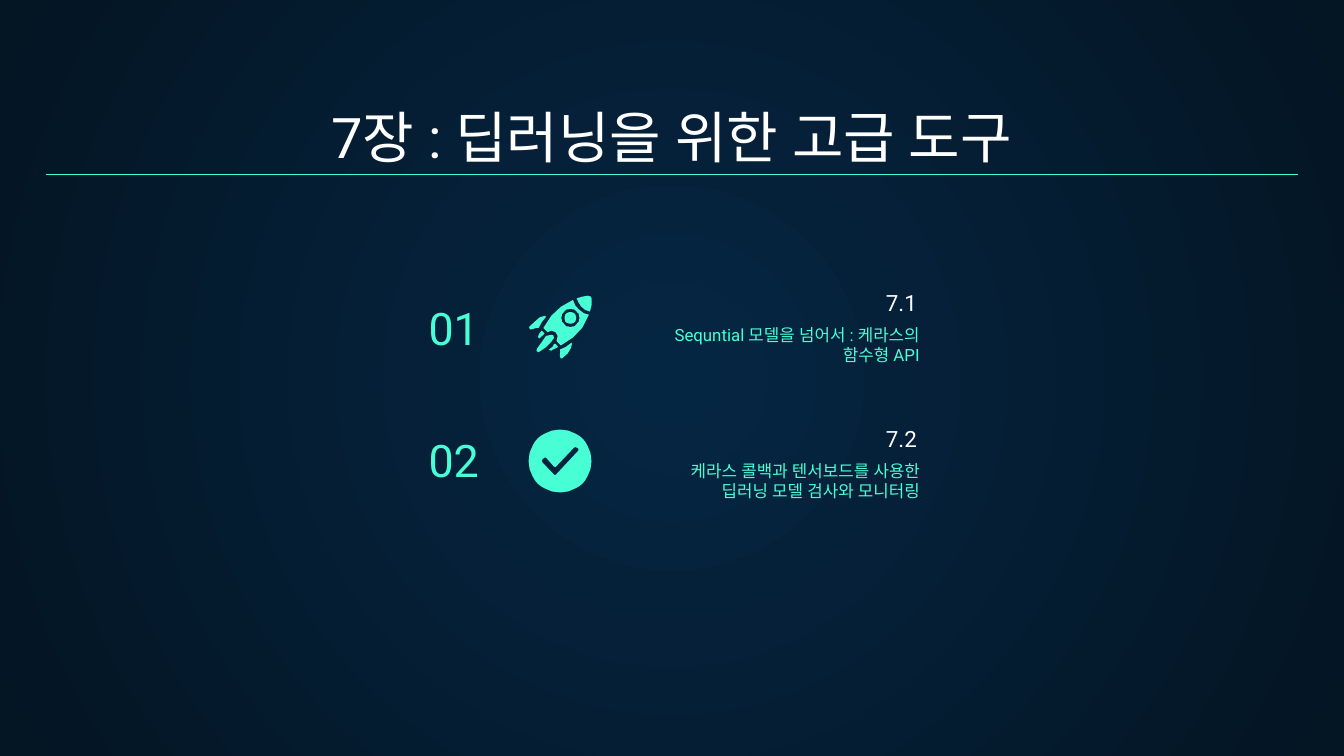
from math import cos, pi, sin

from lxml.etree import SubElement
from pptx import Presentation
from pptx.dml.color import RGBColor
from pptx.enum.shapes import MSO_CONNECTOR
from pptx.enum.text import MSO_ANCHOR, MSO_AUTO_SIZE, PP_ALIGN
from pptx.oxml.ns import qn
from pptx.util import Cm, Pt

MINT, WHITE = "48FFD5", "FFFFFF"
FONT = "Roboto"


def write_text(box, text, size, color, align, anchor=MSO_ANCHOR.BOTTOM):
    frame = box.text_frame
    frame.text = text
    frame.word_wrap = True
    frame.auto_size = MSO_AUTO_SIZE.NONE
    frame.vertical_anchor = anchor
    frame.margin_left = frame.margin_right = Cm(0.25)
    frame.margin_top = frame.margin_bottom = Cm(0.25)
    paragraph = frame.paragraphs[0]
    paragraph.alignment = align
    font = paragraph.runs[0].font
    font.name, font.size = FONT, Pt(size)
    font.color.rgb = RGBColor.from_string(color)
    # Korean glyphs use the East Asian font slot
    SubElement(paragraph.runs[0].font._element, qn("a:ea"), typeface=FONT)


def draw_outline(shapes, contours, left, top):
    """Draw closed contours, given in hundredths of a centimetre."""
    builder = shapes.build_freeform(*contours[0][0], scale=Cm(0.01))
    builder.add_line_segments(contours[0][1:])
    for hole in contours[1:]:
        builder.move_to(*hole[0])
        builder.add_line_segments(hole[1:])
    outline = builder.convert_to_shape(left, top)
    outline.fill.solid()
    outline.fill.fore_color.rgb = RGBColor.from_string(MINT)
    outline.line.fill.background()
    outline.shadow.inherit = False


prs = Presentation()
prs.slide_width, prs.slide_height = Cm(25.4), Cm(14.29)
slide = prs.slides.add_slide(prs.slide_layouts[5])

# Background: radial gradient from the centre
backdrop = slide.background.fill
backdrop.gradient()
for stop, color in zip(backdrop.gradient_stops, ("052643", "041523")):
    stop.color.rgb = RGBColor.from_string(color)
gradient = slide._element.find(".//" + qn("a:gradFill"))
gradient.remove(gradient.find(qn("a:lin")))
radial = SubElement(gradient, qn("a:path"), path="circle")
SubElement(radial, qn("a:fillToRect"), l="50000", t="50000", r="50000", b="50000")

# Chapter title and rule
chapter = slide.shapes.title
chapter.left, chapter.top, chapter.width, chapter.height = Cm(0.86), Cm(1.78), Cm(23.67), Cm(1.68)
write_text(chapter, "7장 : 딥러닝을 위한 고급 도구", 30, WHITE, PP_ALIGN.CENTER)
rule = slide.shapes.add_connector(MSO_CONNECTOR.STRAIGHT, Cm(0.86), Cm(3.3), Cm(24.54), Cm(3.3))
rule.line.color.rgb = RGBColor.from_string(MINT)
rule.line.width = Pt(0.75)
SubElement(rule._element.spPr, qn("a:effectLst"))

# Section list: number, heading, description
sections = [
    ("01", 5.28, "7.1", 5.69, "Sequntial 모델을 넘어서 : 케라스의 함수형 API"),
    ("02", 7.77, "7.2", 8.26, "케라스 콜백과 텐서보드를 사용한 딥러닝 모델 검사와 모니터링"),
]
for number, number_top, heading, heading_top, description in sections:
    number_box = slide.shapes.add_textbox(Cm(7.85), Cm(number_top), Cm(3.28), Cm(1.68))
    write_text(number_box, number, 24, MINT, PP_ALIGN.LEFT)
    heading_box = slide.shapes.add_textbox(Cm(11.81), Cm(heading_top), Cm(5.77), Cm(0.53))
    write_text(heading_box, heading, 12, WHITE, PP_ALIGN.RIGHT)
    description_box = slide.shapes.add_textbox(Cm(12.04), Cm(heading_top + 0.2), Cm(5.59), Cm(1.4))
    write_text(description_box, description, 9, MINT, PP_ALIGN.RIGHT, MSO_ANCHOR.TOP)

# Round contours of the icons
circle = [(cos(2 * pi * i / 48), sin(2 * pi * i / 48)) for i in range(48)]
porthole_rim = [(79 + 17 * x, 42 + 17 * y) for x, y in circle]
porthole = [(79 + 11 * x, 42 + 11 * y) for x, y in circle]
disc = [(59.5 + 59.5 * x, 59.5 + 59.5 * y) for x, y in circle]

# Rocket icon
left_spark = [(25, 66), (20, 72), (18, 78), (20, 81), (28, 74), (30, 71)]
right_spark = [(51, 91), (48, 91), (46, 96), (38, 102), (43, 104), (46, 102), (56, 97)]
flame = [(43, 74), (33, 76), (24, 89), (16, 100), (15, 104), (18, 107),
         (22, 105), (32, 98), (43, 87), (48, 80), (47, 75)]
left_fin = [(31, 38), (21, 41), (13, 48), (2, 58), (1, 61), (4, 64),
            (15, 61), (19, 61), (25, 50), (33, 40)]
right_fin = [(81, 89), (70, 97), (59, 102), (60, 105), (59, 114), (61, 119),
             (64, 118), (74, 109), (80, 99), (82, 91)]
nose = [(112, 0), (101, 2), (91, 5), (94, 12), (99, 20), (107, 27),
        (116, 30), (119, 18), (119, 5), (118, 2)]
hull = [(84, 8), (61, 21), (43, 38), (28, 61), (36, 69), (43, 66), (51, 69), (55, 76),
        (53, 86), (61, 94), (84, 79), (102, 60), (114, 36), (104, 33), (94, 25), (88, 18)]
rocket = slide.shapes.add_group_shape()
for contours in ([left_spark], [right_spark], [flame], [left_fin], [right_fin],
                 [porthole], [nose], [hull, porthole_rim]):
    draw_outline(rocket.shapes, contours, Cm(9.99), Cm(5.59))

# Check mark icon
tick = [(89, 33), (94, 36), (94, 40), (51, 86), (48, 85), (26, 62), (25, 58),
        (30, 53), (33, 53), (48, 70), (51, 71), (86, 34)]
draw_outline(slide.shapes, [disc, tick], Cm(9.99), Cm(8.12))

prs.save("out.pptx")
